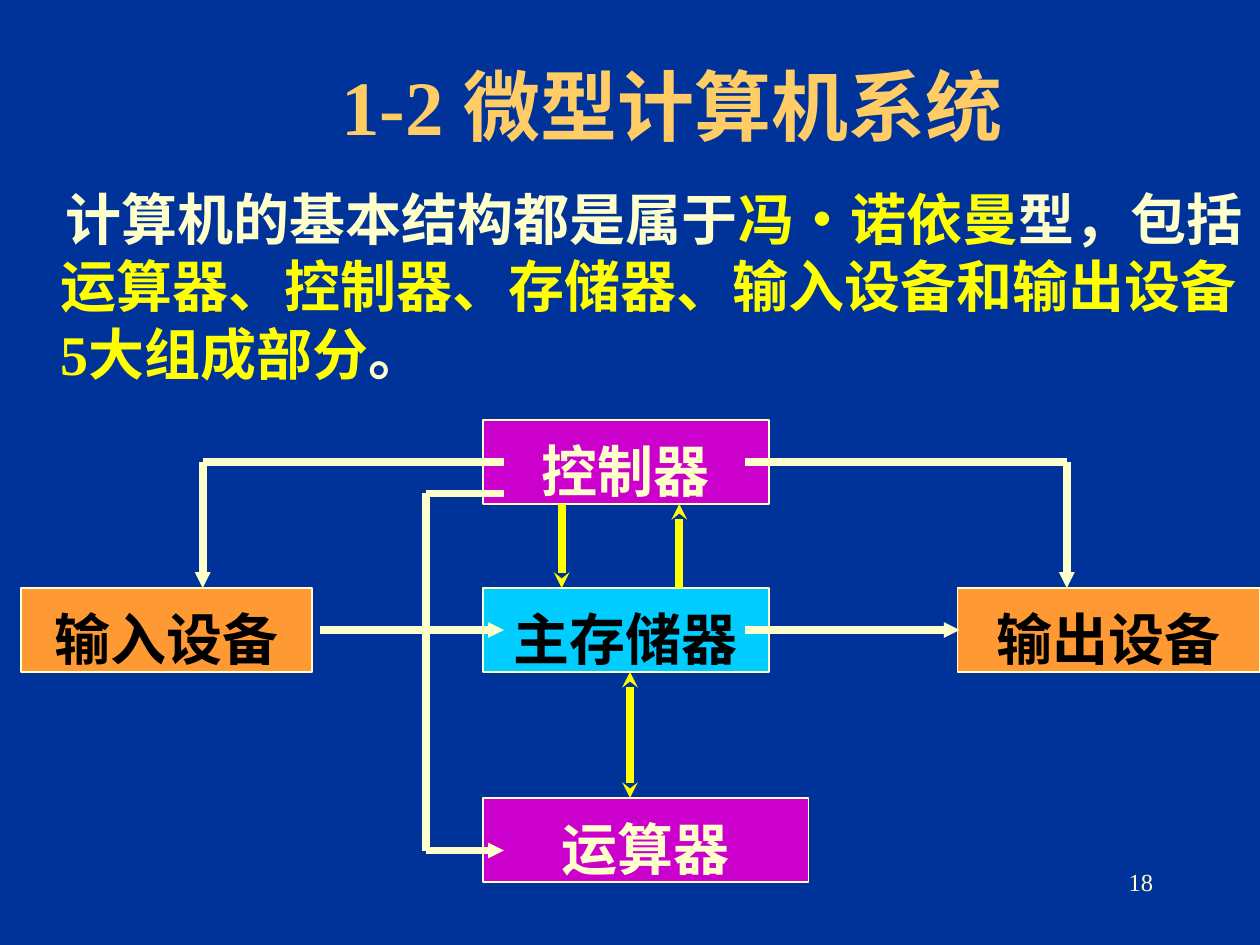
import itertools
import pptx
import pptx.util
import pptx.dml.color
import pptx.enum.shapes
import pptx.enum.text
import pptx.oxml

HEX = {"back": "003399", "gold": "FFCC66", "cream": "FFFFCC", "yellow": "FFFF00",
       "black": "000000", "cyan": "00CCFF", "plum": "CC00CC", "orange": "FF9933"}
FONT = "Times New Roman"
GRID = 12  # grid steps to the inch

# Content: places are in grid steps
TITLE = "1-2 微型计算机系统"
BODY = [("计算机的基本结构都是属于", "cream"), ("冯•诺依曼", "yellow"), ("型，包括", "cream"),
        ("运算器、控制器、存储器、输入设备和输出设备5大组成部分", "yellow"), ("。", "cream")]
PAGE = "18"
ROWS = {"top": 40, "mid": 56, "low": 76}
HIGH = 8
BOXES = [  # text, left, row, width, fill, ink
    ("主存储器", 46, "mid", 27.25, "cyan", "black"),
    ("控制器", 46, "top", 27.25, "plum", "cream"),
    ("运算器", 46, "low", 31, "plum", "cream"),
    ("输入设备", 2, "mid", 27.75, "orange", "black"),
    ("输出设备", 91.2, "mid", 28.8, "orange", "black"),
]
ROUTES = [  # points, colour, head, tail
    ([(71, 44), (101.6, 44), (101.6, 56)], "cream", None, "triangle"),
    ([(48, 44), (19.3, 44), (19.3, 56)], "cream", None, "triangle"),
    ([(53.5, 48), (53.5, 56)], "yellow", None, "stealth"),
    ([(64.7, 56), (64.7, 48)], "yellow", None, "stealth"),
    ([(60, 64), (60, 76)], "yellow", "stealth", "stealth"),
    ([(30.5, 60), (48, 60)], "cream", None, "triangle"),
    ([(71, 60), (91.4, 60)], "cream", None, "triangle"),
    ([(48, 47), (40.6, 47), (40.6, 81), (48, 81)], "cream", None, "triangle"),
]

Pt = pptx.util.Pt
ALIGN = pptx.enum.text.PP_ALIGN
ANCHOR = pptx.enum.text.MSO_ANCHOR


def step(n):
    return pptx.util.Inches(n / GRID)


def ink(name):
    return pptx.dml.color.RGBColor.from_string(HEX[name])


def style(para, size, color=None, bold=True, align=None):
    para.alignment = align
    font = para.font
    font.name, font.size, font.bold = FONT, Pt(size), bold
    if color:
        font.color.rgb = ink(color)


def label(slide, left, top, width, high, anchor=ANCHOR.TOP):
    frame = slide.shapes.add_textbox(*map(step, (left, top, width, high))).text_frame
    frame.word_wrap = True
    frame.vertical_anchor = anchor
    return frame.paragraphs[0]


def box(slide, text, left, row, width, fill, color):
    shape = slide.shapes.add_shape(pptx.enum.shapes.MSO_SHAPE.RECTANGLE,
                                   *map(step, (left, ROWS[row], width, HIGH)))
    shape.shadow.inherit = False
    shape.fill.solid()
    shape.fill.fore_color.rgb = ink(fill)
    shape.line.color.rgb = ink("cream")
    shape.line.width = Pt(1)
    frame = shape.text_frame
    frame.word_wrap = False
    frame.vertical_anchor = ANCHOR.MIDDLE
    para = frame.paragraphs[0]
    para.text = text
    para.line_spacing = 1.25
    style(para, 32, color, align=ALIGN.CENTER)


def route(slide, points, color, head, tail):
    last = len(points) - 2
    for i, (start, end) in enumerate(itertools.pairwise(points)):
        line = slide.shapes.add_connector(pptx.enum.shapes.MSO_CONNECTOR.STRAIGHT,
                                          *map(step, start + end))
        line.line.color.rgb = ink(color)
        line.line.width = Pt(4.5)
        props = line._element.spPr
        for tag, kind, here in (("headEnd", head, i == 0), ("tailEnd", tail, i == last)):
            if kind and here:
                tip = props.ln.makeelement(pptx.oxml.ns.qn("a:" + tag),
                                           {"type": kind, "w": "sm", "len": "sm"})
                props.ln.append(tip)
        props.append(props.makeelement(pptx.oxml.ns.qn("a:effectLst"), {}))


def main():
    deck = pptx.Presentation()
    deck.slide_width, deck.slide_height = step(120), step(90)
    slide = deck.slides.add_slide(deck.slide_layouts[6])
    slide.background.fill.solid()
    slide.background.fill.fore_color.rgb = ink("back")

    # Page number and title
    para = label(slide, 86, 82, 25, 6)
    para.text = PAGE
    style(para, 14, "cream", False, ALIGN.RIGHT)
    para = label(slide, 13, 6, 102, 9, ANCHOR.BOTTOM)
    para.text = TITLE
    style(para, 44, "gold", align=ALIGN.CENTER)

    # Body text, set in from the left
    para = label(slide, 0, 17, 120, 22)
    props = para._p.get_or_add_pPr()
    props.set("marL", str(pptx.util.Inches(0.38)))
    props.set("indent", str(pptx.util.Inches(0.04)))
    style(para, 32)
    for text, color in BODY:
        run = para.add_run()
        run.text = text
        run.font.color.rgb = ink(color)

    # Diagram
    for item in BOXES:
        box(slide, *item)
    for item in ROUTES:
        route(slide, *item)
    deck.save("out.pptx")


if __name__ == "__main__":
    main()
